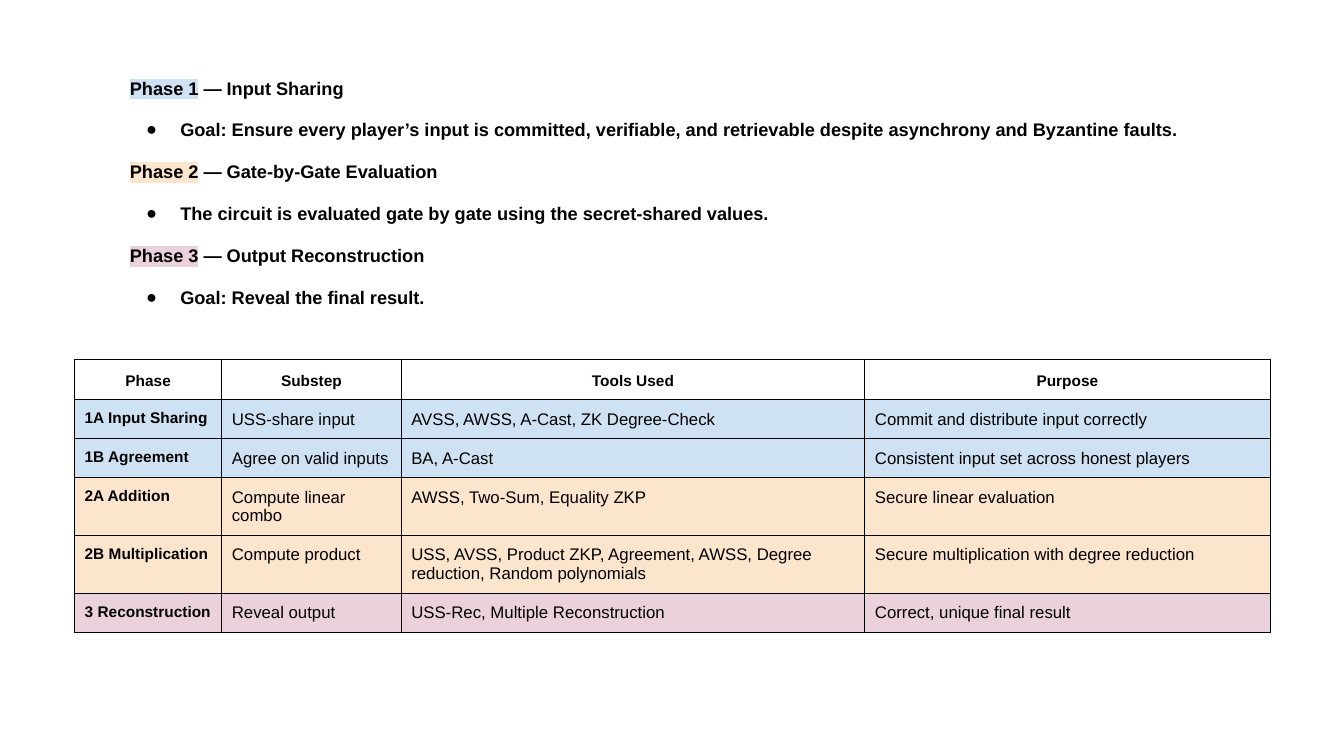
"""Build the slide on the three protocol phases and the tools each one uses."""
from dataclasses import dataclass
from typing import Optional

import lxml.etree
import pptx
import pptx.dml.color
import pptx.enum.text
import pptx.oxml.ns
import pptx.util

COLORS = {
    "black": "000000",
    "phase 1": "CFE2F3",
    "phase 2": "FCE5CD",
    "phase 3": "EAD1DC",
}
FONT = "Arial"


@dataclass(frozen=True)
class Phase:
    label: str
    title: str
    goal: str
    color: str


@dataclass(frozen=True)
class Step:
    cells: tuple[str, str, str, str]
    color: Optional[str] = None


PHASES = (
    Phase("Phase 1", " — Input Sharing",
          "Goal: Ensure every player’s input is committed, verifiable, and "
          "retrievable despite asynchrony and Byzantine faults.", "phase 1"),
    Phase("Phase 2", " — Gate-by-Gate Evaluation",
          "The circuit is evaluated gate by gate using the secret-shared values.",
          "phase 2"),
    Phase("Phase 3", " — Output Reconstruction",
          "Goal: Reveal the final result.", "phase 3"),
)
STEPS = (
    Step(("Phase", "Substep", "Tools Used", "Purpose")),
    Step(("1A Input Sharing", "USS-share input",
          "AVSS, AWSS, A-Cast, ZK Degree-Check",
          "Commit and distribute input correctly"), "phase 1"),
    Step(("1B Agreement", "Agree on valid inputs", "BA, A-Cast",
          "Consistent input set across honest players"), "phase 1"),
    Step(("2A Addition", "Compute linear combo", "AWSS, Two-Sum, Equality ZKP",
          "Secure linear evaluation"), "phase 2"),
    Step(("2B Multiplication", "Compute product",
          "USS, AVSS, Product ZKP, Agreement, AWSS, Degree reduction, "
          "Random polynomials",
          "Secure multiplication with degree reduction"), "phase 2"),
    Step(("3 Reconstruction", "Reveal output",
          "USS-Rec, Multiple Reconstruction",
          "Correct, unique final result"), "phase 3"),
)
COLUMN_WIDTHS = (105.12, 128.16, 331.2, 289.44)
ROW_HEIGHT = 16


def rgb(color: str) -> pptx.dml.color.RGBColor:
    return pptx.dml.color.RGBColor.from_string(COLORS[color])


def add_xml(parent, tag: str, **attributes: str):
    return lxml.etree.SubElement(parent, pptx.oxml.ns.qn(tag), attributes)


def add_text(paragraph, text: str, *, size: float, bold: bool = False,
             highlight: Optional[str] = None) -> None:
    run = paragraph.add_run()
    run.text = text
    run.font.size = pptx.util.Pt(size)
    run.font.bold = bold
    run.font.color.rgb = rgb("black")
    if highlight:
        marker = add_xml(run.font._element, "a:highlight")
        add_xml(marker, "a:srgbClr", val=COLORS[highlight])
    run.font.name = FONT


def add_bullet(paragraph) -> None:
    properties = paragraph._p.get_or_add_pPr()
    properties.set("marL", str(pptx.util.Pt(36)))
    properties.set("indent", str(pptx.util.Pt(-24.5)))
    bullet_color = add_xml(properties, "a:buClr")
    add_xml(bullet_color, "a:srgbClr", val=COLORS["black"])
    add_xml(properties, "a:buFont", typeface=FONT)
    add_xml(properties, "a:buChar", char="●")


def draw_phases(slide, phases: tuple[Phase, ...]) -> None:
    outline = slide.shapes.add_textbox(
        pptx.util.Pt(85.7), pptx.util.Pt(49), pptx.util.Pt(788.4),
        pptx.util.Pt(190.8)).text_frame
    outline.word_wrap = True
    for index, phase in enumerate(phases):
        heading = outline.add_paragraph() if index else outline.paragraphs[0]
        goal = outline.add_paragraph()
        add_bullet(goal)
        for paragraph in (heading, goal):
            paragraph.line_spacing = 1.15
            if index or paragraph is goal:
                paragraph.space_before = pptx.util.Pt(12)
        add_text(heading, phase.label, size=13, bold=True, highlight=phase.color)
        add_text(heading, phase.title, size=13, bold=True)
        add_text(goal, phase.goal, size=13, bold=True)


def add_borders(cell) -> None:
    properties = cell._tc.get_or_add_tcPr()
    for side in ("a:lnL", "a:lnR", "a:lnT", "a:lnB"):
        border = add_xml(properties, side, w=str(pptx.util.Pt(0.75)))
        add_xml(add_xml(border, "a:solidFill"), "a:srgbClr", val=COLORS["black"])


def draw_steps(slide, steps: tuple[Step, ...]) -> None:
    table = slide.shapes.add_table(
        len(steps), len(COLUMN_WIDTHS), pptx.util.Pt(53.3), pptx.util.Pt(257),
        pptx.util.Pt(sum(COLUMN_WIDTHS)),
        pptx.util.Pt(ROW_HEIGHT * len(steps))).table
    table.first_row = False
    table.horz_banding = False
    for column, width in zip(table.columns, COLUMN_WIDTHS):
        column.width = pptx.util.Pt(width)
    for row, step in zip(table.rows, steps):
        row.height = pptx.util.Pt(ROW_HEIGHT)
        for index, (cell, text) in enumerate(zip(row.cells, step.cells)):
            cell.margin_left = cell.margin_right = pptx.util.Pt(7.2)
            cell.margin_top = cell.margin_bottom = pptx.util.Pt(7.2)
            add_borders(cell)
            paragraph = cell.text_frame.paragraphs[0]
            if step.color:
                cell.fill.solid()
                cell.fill.fore_color.rgb = rgb(step.color)
            else:
                cell.fill.background()
                paragraph.alignment = pptx.enum.text.PP_ALIGN.CENTER
                paragraph.line_spacing = 1.15
            strong = index == 0 or step.color is None
            add_text(paragraph, text, size=11 if strong else 12, bold=strong)


def main() -> None:
    presentation = pptx.Presentation()
    presentation.slide_width = pptx.util.Pt(960)
    presentation.slide_height = pptx.util.Pt(540)
    slide = presentation.slides.add_slide(presentation.slide_layouts[6])
    draw_steps(slide, STEPS)
    draw_phases(slide, PHASES)
    presentation.save("out.pptx")


if __name__ == "__main__":
    main()
